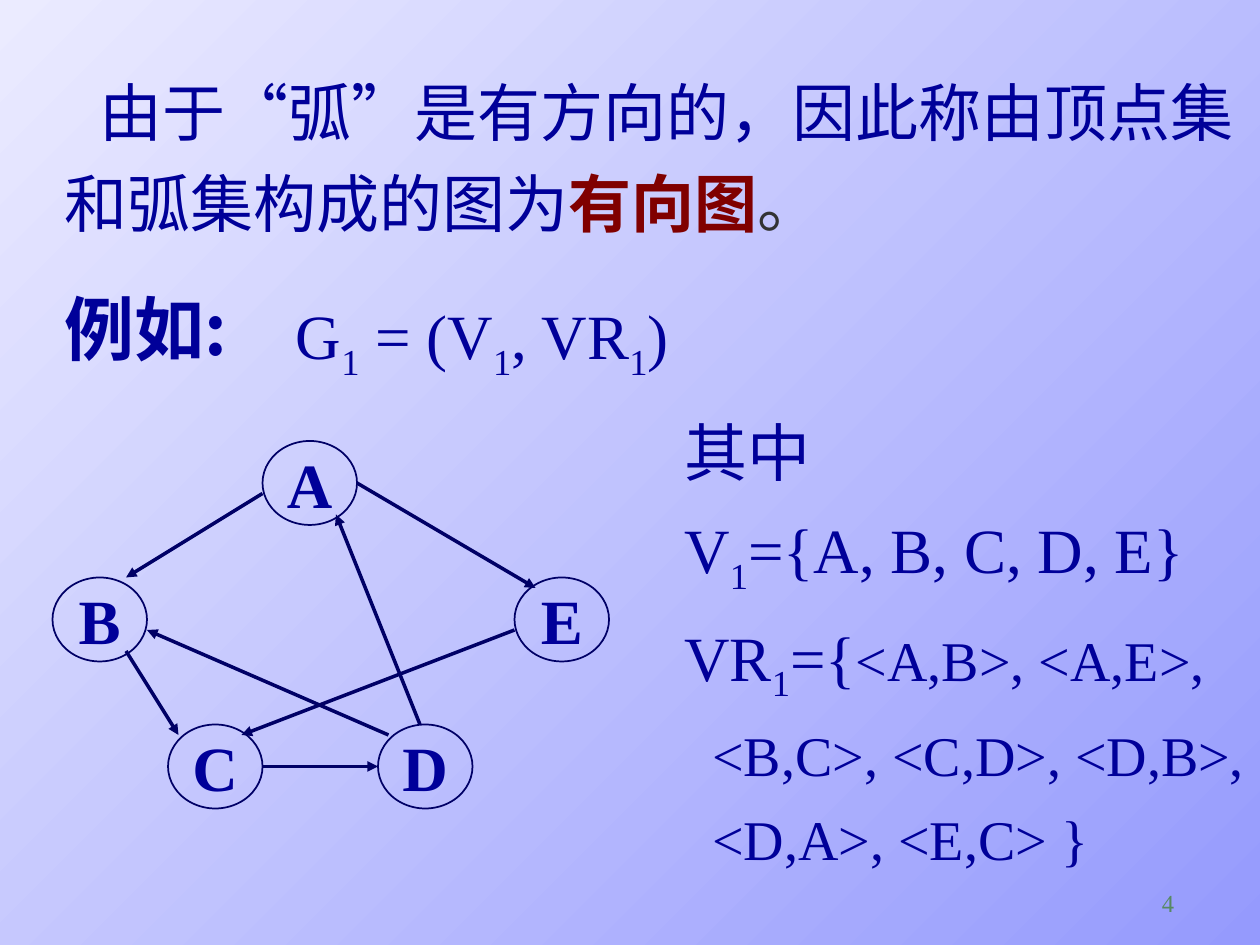
from pptx import Presentation
from pptx.dml.color import RGBColor
from pptx.enum.shapes import MSO_CONNECTOR, MSO_SHAPE
from pptx.enum.text import MSO_ANCHOR, PP_ALIGN
from pptx.oxml.ns import qn
from pptx.util import Pt
from lxml import etree

OVAL, LINE = MSO_SHAPE.OVAL, MSO_CONNECTOR.STRAIGHT
MIDDLE, CENTER, RIGHT = MSO_ANCHOR.MIDDLE, PP_ALIGN.CENTER, PP_ALIGN.RIGHT

PX = 7620  # 120 px to the inch
HAN, ROMAN = "Noto Sans CJK SC", "Times New Roman"
BLUE, NAVY, RED, GREY, GREEN = "000099", "000066", "800000", "333333", "578963"

NODE_W, NODE_H = 90, 80
NODES = {"E": (440, 130), "A": (200, 0), "C": (110, 270), "B": (0, 130), "D": (310, 270)}
ARCS = [
    (200, 50, 70, 130),    # A to B
    (70, 200, 120, 280),   # B to C
    (200, 310, 310, 310),  # C to D
    (350, 270, 270, 70),   # D to A
    (290, 40, 460, 140),   # A to E
    (320, 280, 90, 180),   # D to B
    (440, 180, 180, 280),  # E to C
]


def px(*nums):
    return [n * PX for n in nums]


def color(code):
    return RGBColor.from_string(code)


def add_run(para, text, size=36, face=ROMAN, ink=BLUE, bold=False, sub=False):
    run = para.add_run()
    run.text = text
    font = run.font
    font.size, font.name, font.bold = Pt(size), face, bold
    font.color.rgb = color(ink)
    props = font._element
    etree.SubElement(props, qn("a:ea")).set("typeface", face)
    if sub:
        props.set("baseline", "-25000")


def add_math(para, text, size=36):
    """Write text in which each part between underscores is a subscript."""
    for i, part in enumerate(text.split("_")):
        add_run(para, part, size, sub=i % 2 == 1)


def add_box(slide, x, y, w, h):
    frame = slide.shapes.add_textbox(*px(x, y, w, h)).text_frame
    frame.word_wrap = True
    return frame


def indent(para, size):
    props = para._p.get_or_add_pPr()
    props.set("indent", str(Pt(size)))


def add_intro(slide, x, y, w, h):
    frame = add_box(slide, x, y, w, h)
    frame.margin_top = 16 * PX
    para = frame.paragraphs[0]
    para.line_spacing = 1.2
    indent(para, 20)
    add_run(para, "由于“弧”是有方向的，因此称由顶点集和弧集构成的图为", face=HAN)
    add_run(para, "有向图", face=HAN, ink=RED, bold=True)
    add_run(para, "。", face=HAN, ink=GREY)


def add_example(slide, x, y):
    label = add_box(slide, x, y, 230, 108).paragraphs[0]
    add_run(label, "例如:", 40, HAN, bold=True)
    graph = add_box(slide, x + 220, y + 10, 450, 110).paragraphs[0]
    add_math(graph, "G_1_ = (V_1_, VR_1_)")
    for para in (label, graph):
        para.line_spacing = 1.2


def add_graph(slide, x, y):
    parts = slide.shapes.add_group_shape().shapes
    # Vertices
    for name, (left, top) in NODES.items():
        node = parts.add_shape(OVAL, *px(x + left, y + top, NODE_W, NODE_H))
        node.shadow.inherit = False
        node.fill.background()
        node.line.color.rgb = color(NAVY)
        node.line.width = Pt(1)
        frame = node.text_frame
        frame.word_wrap = False
        frame.vertical_anchor = MIDDLE
        para = frame.paragraphs[0]
        para.alignment = CENTER
        add_run(para, name, bold=True)
    # Arcs
    for x1, y1, x2, y2 in ARCS:
        arc = parts.add_connector(LINE, *px(x + x1, y + y1, x + x2, y + y2))
        arc.line.color.rgb = color(NAVY)
        arc.line.width = Pt(2)
        etree.SubElement(arc.line._get_or_add_ln(), qn("a:tailEnd")).set("type", "triangle")
        etree.SubElement(arc._element.spPr, qn("a:effectLst"))


def add_sets(slide, x, y, w, h):
    frame = add_box(slide, x, y, w, h)
    rows = [frame.paragraphs[0]] + [frame.add_paragraph() for _ in range(4)]
    for row in rows:
        row.line_spacing = 1.25
    add_run(rows[0], "其中", face=HAN)
    add_math(rows[1], "V_1_={A, B, C, D, E}")
    add_math(rows[2], "VR_1_={")
    add_math(rows[2], "<A,B>, <A,E>,", 32)
    for row, text in zip(rows[3:], ("<B,C>, <C,D>, <D,B>,", "<D,A>, <E,C> }")):
        indent(row, 16)
        add_math(row, text, 32)


def add_number(slide, x, y, w, h):
    para = add_box(slide, x, y, w, h).paragraphs[0]
    para.alignment = RIGHT
    add_run(para, "4", 14, ink=GREEN)


def main():
    deck = Presentation()
    deck.slide_width, deck.slide_height = px(1200, 900)
    slide = deck.slides.add_slide(deck.slide_layouts[6])
    # Background
    fill = slide.background.fill
    fill.gradient()
    fill.gradient_angle = 135
    for stop, code in zip(fill.gradient_stops, ("959AFD", "EBEBFF")):
        stop.color.rgb = color(code)
    # Regions
    add_number(slide, 880, 840, 250, 60)
    add_intro(slide, 50, 40, 1150, 194)
    add_graph(slide, 50, 420)
    add_example(slide, 50, 250)
    add_sets(slide, 640, 370, 560, 467)
    deck.save("out.pptx")


if __name__ == "__main__":
    main()
